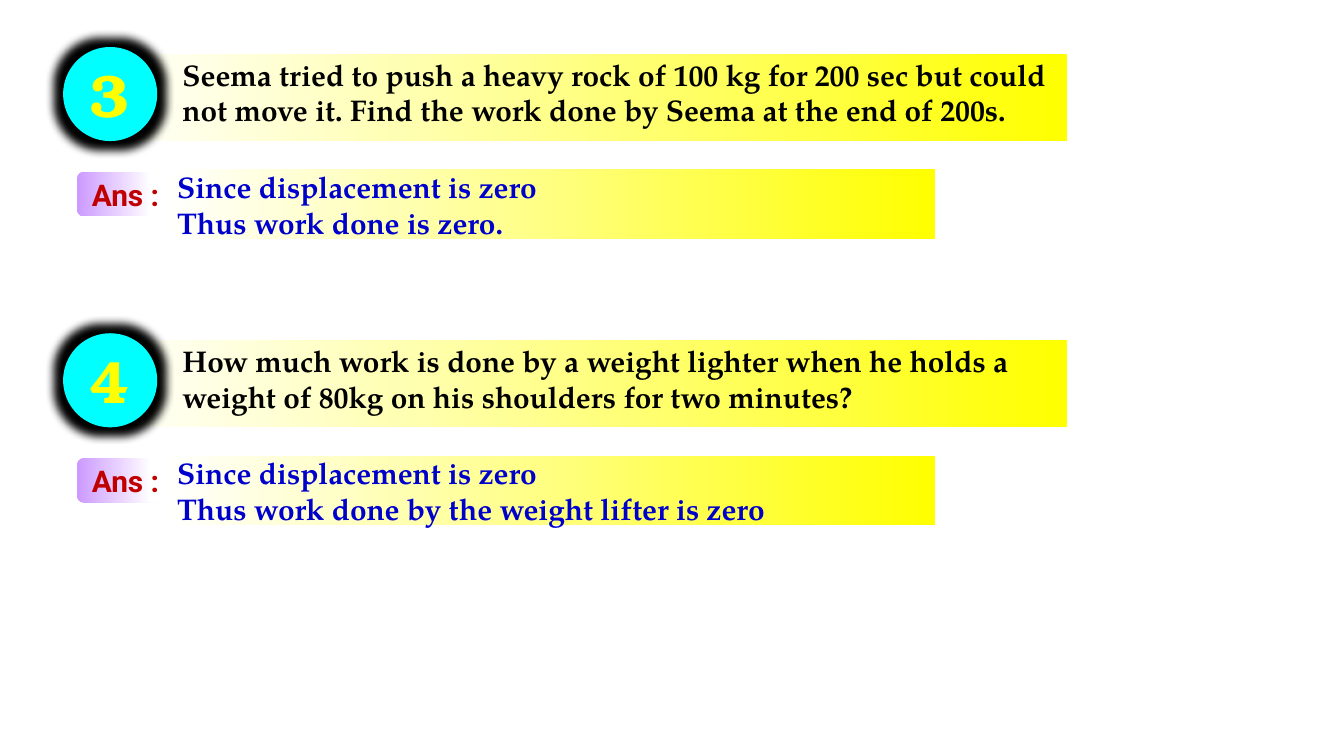
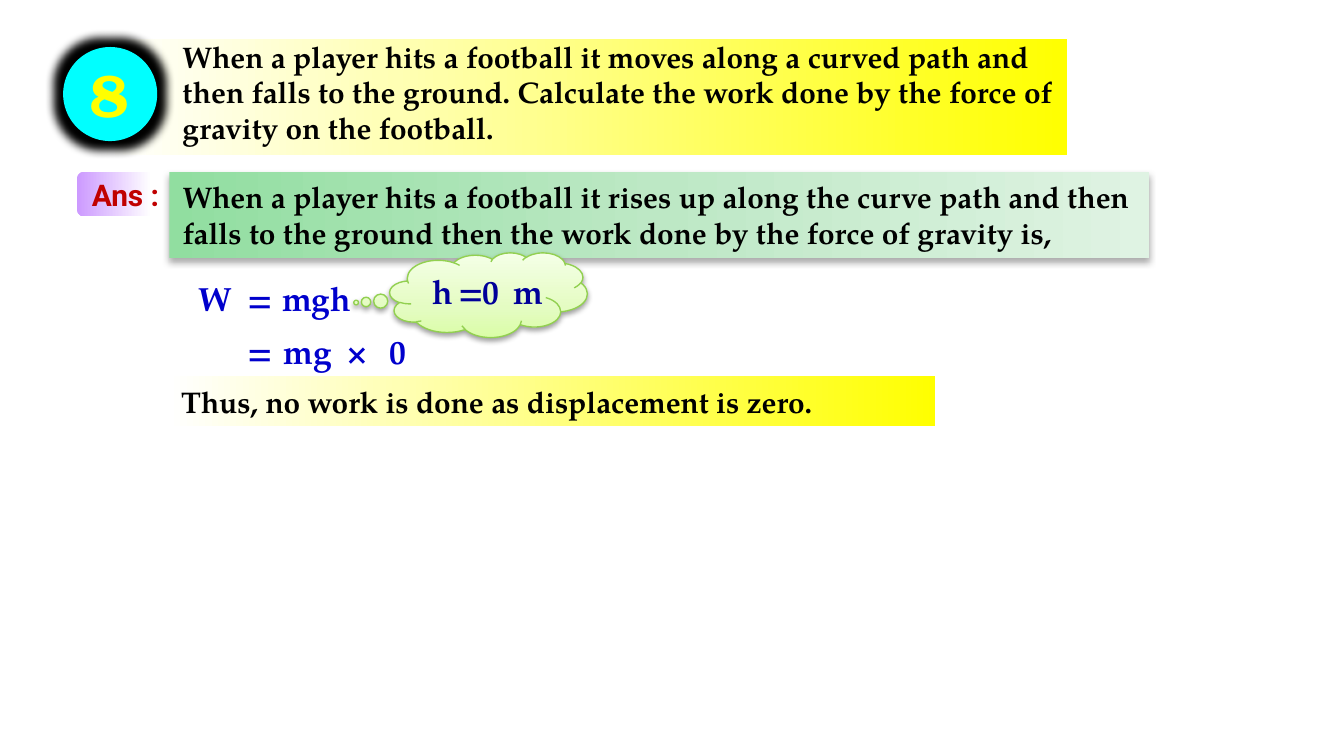
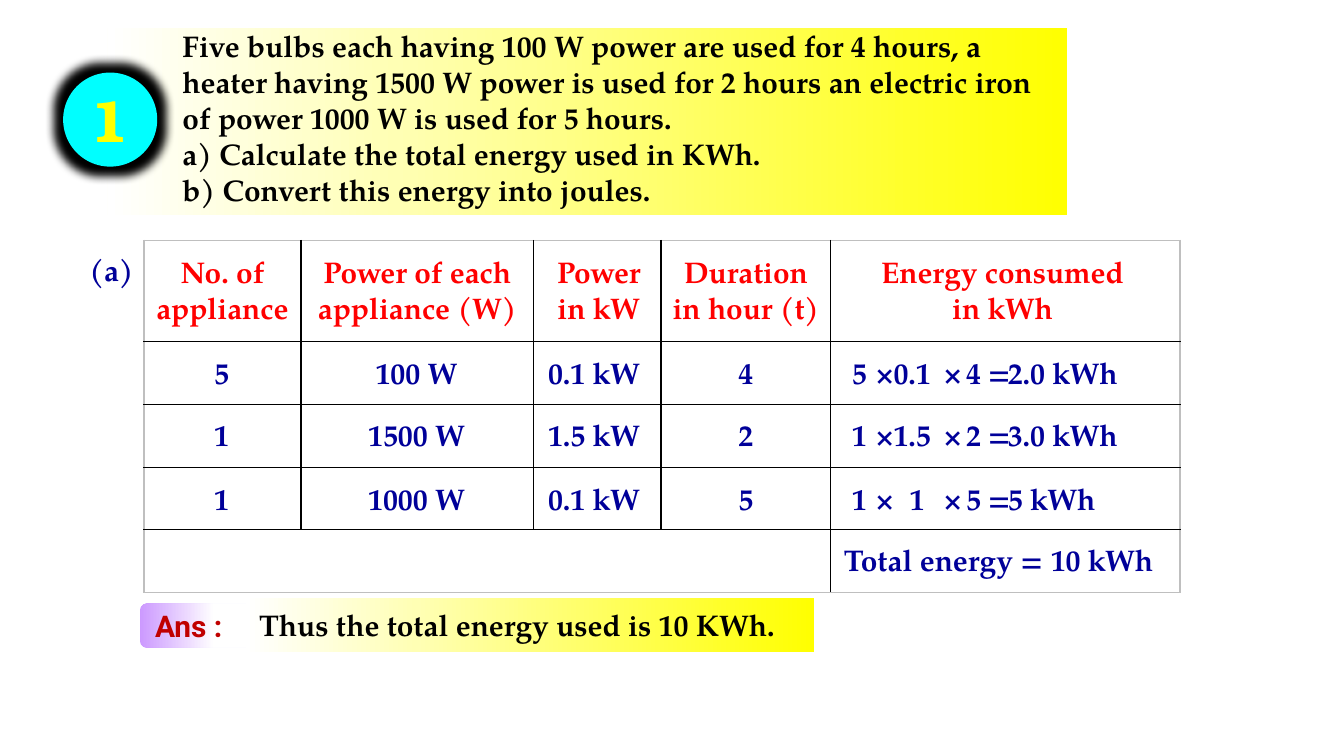
import pptx
import pptx.dml.color
import pptx.enum.shapes
import pptx.enum.text
import pptx.oxml.ns
import pptx.util
from lxml import etree

Inches = pptx.util.Inches
Pt = pptx.util.Pt
RGBColor = pptx.dml.color.RGBColor
SHAPES = pptx.enum.shapes.MSO_SHAPE
CENTER = pptx.enum.text.PP_ALIGN.CENTER
LEFT = pptx.enum.text.PP_ALIGN.LEFT
MIDDLE = pptx.enum.text.MSO_ANCHOR.MIDDLE
TOP = pptx.enum.text.MSO_ANCHOR.TOP
qn = pptx.oxml.ns.qn

BLACK = RGBColor(0x00, 0x00, 0x00)
WHITE = RGBColor(0xFF, 0xFF, 0xFF)
GREY = RGBColor(0xBF, 0xBF, 0xBF)
YELLOW = RGBColor(0xFF, 0xFF, 0x00)
PALE_YELLOW = RGBColor(0xFF, 0xFF, 0xB4)
CYAN = RGBColor(0x00, 0xFF, 0xFF)
LILAC = RGBColor(0xCC, 0x99, 0xFF)
DARK_RED = RGBColor(0xC0, 0x00, 0x00)
RED = RGBColor(0xFF, 0x00, 0x00)
BLUE = RGBColor(0x00, 0x00, 0xCC)
NAVY = RGBColor(0x00, 0x00, 0x99)
LIME = RGBColor(0x92, 0xD0, 0x50)

YELLOW_FADE = [(0, YELLOW), (70, PALE_YELLOW), (100, WHITE)]
LILAC_FADE = [(0, LILAC), (55, WHITE)]
GREEN_FADE = [(0, RGBColor(0x91, 0xDE, 0xA0)), (50, RGBColor(0xBD, 0xE8, 0xC5)),
              (100, RGBColor(0xDF, 0xF3, 0xE3))]
LIME_FADE = [(0, RGBColor(0xDA, 0xFD, 0xA7)), (35, RGBColor(0xE4, 0xFC, 0xC2)),
             (100, RGBColor(0xF5, 0xFF, 0xE7))]

BODY_FONT = "TeX Gyre Pagella"
NUMBER_FONT = "TeX Gyre Bonum"
LABEL_FONT = "Roboto"


def add_xml(parent, tag, **attributes):
    values = {name: str(value) for name, value in attributes.items()}
    return etree.SubElement(parent, qn(tag), values)


def add_color(parent, color, alpha=100):
    element = add_xml(parent, "a:srgbClr", val=color)
    if alpha < 100:
        add_xml(element, "a:alpha", val=alpha * 1000)


def write(shape, text, size=16, color=BLACK, font=BODY_FONT, align=LEFT,
          anchor=TOP, wrap=True, grow=False):
    frame = shape.text_frame
    frame.word_wrap = wrap
    frame.vertical_anchor = anchor
    if grow:
        frame.auto_size = pptx.enum.text.MSO_AUTO_SIZE.SHAPE_TO_FIT_TEXT
    for index, line in enumerate(text.split("\n")):
        paragraph = frame.add_paragraph() if index else frame.paragraphs[0]
        paragraph.alignment = align
        run = paragraph.add_run()
        run.text = line
        run.font.name = font
        run.font.size = Pt(size)
        run.font.bold = True
        run.font.color.rgb = color
    return shape


class Deck:
    def __init__(self):
        self.presentation = pptx.Presentation()
        self.presentation.slide_width = Inches(10)
        self.presentation.slide_height = Inches(10) * 9 // 16
        self.slide = None

    def new_slide(self):
        self.slide = self.presentation.slides.add_slide(self.presentation.slide_layouts[6])

    def shape(self, kind, left, top, width, height, fill, angle=0, line=None):
        shape = self.slide.shapes.add_shape(
            kind, Inches(left), Inches(top), Inches(width), Inches(height))
        if isinstance(fill, list):
            shape.fill.gradient()
            gradient = shape.element.spPr.find(qn("a:gradFill"))
            for child in list(gradient):
                gradient.remove(child)
            stops = add_xml(gradient, "a:gsLst")
            for position, color in fill:
                add_color(add_xml(stops, "a:gs", pos=position * 1000), color)
            add_xml(gradient, "a:lin", ang=angle * 60000, scaled=0)
        else:
            shape.fill.solid()
            shape.fill.fore_color.rgb = fill
        if line is None:
            shape.line.fill.background()
        else:
            shape.line.color.rgb = line
            shape.line.width = Pt(0.75)
        shape.shadow.inherit = False
        return shape

    def cast_shadow(self, shape, alpha, blur, distance):
        effects = shape.element.spPr.find(qn("a:effectLst"))
        shadow = add_xml(effects, "a:outerShdw", blurRad=Pt(blur), dist=Pt(distance),
                         dir=90 * 60000, rotWithShape=0)
        add_color(shadow, BLACK, alpha)

    def text(self, left, top, width, height, text, **style):
        box = self.slide.shapes.add_textbox(
            Inches(left), Inches(top), Inches(width), Inches(height))
        return write(box, text, **style)

    def yellow_band(self, left, top, width, height, text, color=BLACK):
        band = self.shape(SHAPES.RECTANGLE, left, top, width, height, YELLOW_FADE, 180)
        write(band, text, color=color, anchor=MIDDLE)

    def question(self, number, text, circle_top, band_top, band_height):
        band = self.shape(SHAPES.ROUNDED_RECTANGLE, 0.8, band_top, 7.14, band_height,
                          YELLOW_FADE, 180)
        band.adjustments[0] = 0
        self.text(1.26, circle_top - 0.14, 6.7, 0.95, text, anchor=MIDDLE)
        circle = self.shape(SHAPES.OVAL, 0.47, circle_top, 0.7, 0.7, CYAN)
        effects = circle.element.spPr.find(qn("a:effectLst"))
        add_color(add_xml(effects, "a:glow", rad=Pt(10)), BLACK)
        box = self.text(0.56, circle_top + 0.03, 0.5, 0.64, number, size=32, color=YELLOW,
                        font=NUMBER_FONT, align=CENTER, wrap=False, grow=True)
        properties = box.text_frame.paragraphs[0].runs[0].font._element
        outline = etree.Element(qn("a:ln"), w=str(Pt(1.5)))
        add_color(add_xml(outline, "a:solidFill"), BLACK)
        properties.insert(0, outline)

    def answer_label(self, left, top):
        label = self.shape(SHAPES.ROUNDED_RECTANGLE, left, top, 1.01, 0.33, LILAC_FADE)
        write(label, "Ans :", color=DARK_RED, font=LABEL_FONT, anchor=MIDDLE)

    def formula(self, top, color, terms):
        for left, width, term in terms:
            self.text(left, top, width, 0.4, term, size=18, color=color,
                      wrap=False, grow=True)

    def grid(self, left, top, widths, heights):
        frame = self.slide.shapes.add_table(
            len(heights), len(widths), Inches(left), Inches(top),
            Inches(sum(widths)), Inches(sum(heights)))
        table = frame.table
        for column, width in zip(table.columns, widths):
            column.width = Inches(width)
        last_row, last_column = len(heights) - 1, len(widths) - 1
        for row_index, (row, height) in enumerate(zip(table.rows, heights)):
            row.height = Inches(height)
            for column_index, cell in enumerate(row.cells):
                properties = cell._tc.get_or_add_tcPr()
                outer_sides = {"a:lnL": column_index == 0, "a:lnR": column_index == last_column,
                               "a:lnT": row_index == 0, "a:lnB": row_index == last_row}
                for side, is_outer in outer_sides.items():
                    border = add_xml(properties, side, w=Pt(1))
                    add_color(add_xml(border, "a:solidFill"), GREY if is_outer else BLACK)
                cell.fill.background()
        return table


def build_zero_work(deck):
    deck.new_slide()
    exercises = [
        ("3", "Seema tried to push a heavy rock of 100 kg for 200 sec but could not move it. "
              "Find the work done by Seema at the end of 200s.",
         "Thus work done is zero."),
        ("4", "How much work is done by a weight lighter when he holds a weight of 80kg "
              "on his shoulders for two minutes?",
         "Thus work done by the weight lifter is zero"),
    ]
    for index, (number, question, conclusion) in enumerate(exercises):
        top = 0.35 + 2.13 * index
        deck.question(number, question, top, top + 0.05, 0.65)
        deck.answer_label(0.57, top + 0.93)
        deck.yellow_band(1.22, top + 0.91, 5.74, 0.52,
                         "Since displacement is zero\n" + conclusion, BLUE)


def build_football(deck):
    deck.new_slide()
    deck.question("8", "When a player hits a football it moves along a curved path and then "
                       "falls to the ground. Calculate the work done by the force of gravity "
                       "on the football.", 0.35, 0.29, 0.86)
    deck.answer_label(0.57, 1.28)
    explanation = deck.shape(SHAPES.RECTANGLE, 1.26, 1.28, 7.29, 0.64, GREEN_FADE)
    deck.cast_shadow(explanation, 32, 3.5, 2.2)
    write(explanation, "When a player hits a football it rises up along the curve path and then "
                       "falls to the ground then the work done by the force of gravity is,",
          grow=True)
    deck.formula(2.02, BLUE, [(1.38, 0.45, "W"), (1.74, 0.35, "="), (2, 0.72, "mgh")])
    cloud = deck.shape(SHAPES.CLOUD_CALLOUT, 2.9, 1.88, 1.47, 0.63, LIME_FADE, 270, LIME)
    cloud.adjustments[0] = -0.67
    cloud.adjustments[1] = 0.09
    deck.cast_shadow(cloud, 38, 3.1, 1.6)
    deck.formula(1.97, NAVY, [(3.12, 0.36, "h"), (3.31, 0.35, "="),
                              (3.49, 0.33, "0"), (3.72, 0.43, "m")])
    deck.formula(2.41, BLUE, [(1.74, 0.35, "="), (2.01, 0.57, "mg"),
                              (2.48, 0.35, "×"), (2.8, 0.33, "0")])
    deck.yellow_band(1.25, 2.8, 5.71, 0.37, "Thus, no work is done as displacement is zero.")


def build_energy_bill(deck):
    deck.new_slide()
    deck.question("1", "Five bulbs each having 100 W power are used for 4 hours, a heater having "
                       "1500 W power is used for 2 hours an electric iron of power 1000 W is used "
                       "for 5 hours.\na) Calculate the total energy used in KWh.\n"
                       "b) Convert this energy into joules.", 0.54, 0.21, 1.39)
    table = deck.grid(1.07, 1.79, [1.17, 1.73, 0.95, 1.26, 2.6],
                      [0.75, 0.47, 0.47, 0.46, 0.47])
    table.cell(4, 0).merge(table.cell(4, 3))

    headings = [(1.05, 1.21, "No. of appliance"), (2.24, 1.73, "Power of each appliance (W)"),
                (4.01, 0.89, "Power in kW"), (4.9, 1.3, "Duration in hour (t)"),
                (6.38, 2.16, "Energy consumed in kWh")]
    for left, width, heading in headings:
        deck.text(left, 1.84, width, 0.64, heading, color=RED, align=CENTER, grow=True)

    appliances = [
        (2.59, "5", "100 W", "0.1 kW", "4", (6.55, 0.49, "0.1"), "2.0 kWh"),
        (3.05, "1", "1500 W", "1.5 kW", "2", (6.55, 0.49, "1.5"), "3.0 kWh"),
        (3.53, "1", "1000 W", "0.1 kW", "5", (6.67, 0.25, "1"), "5 kWh"),
    ]
    for top, count, watts, kilowatts, hours, factor, energy in appliances:
        centred = [(1.38, 0.54, count), (2.5, 1.2, watts), (5.28, 0.54, hours),
                   (6.24, 0.23, count), (6.44, 0.17, "×"), (6.92, 0.23, "×"),
                   (7.09, 0.21, hours), (7.28, 0.17, "=")]
        aligned_left = [(3.98, 0.93, kilowatts), factor, (7.4, 1.08, energy)]
        for align, entries in ((CENTER, centred), (LEFT, aligned_left)):
            for left, width, entry in entries:
                deck.text(left, top, width, 0.37, entry, color=NAVY, align=align, grow=True)

    deck.text(6.18, 3.98, 2.04, 0.37, "Total energy =", color=NAVY, grow=True)
    deck.text(7.72, 3.98, 1.07, 0.37, "10 kWh", color=NAVY, grow=True)
    deck.answer_label(1.04, 4.49)
    deck.yellow_band(1.83, 4.45, 4.23, 0.4, "Thus the total energy used is 10 KWh.")
    deck.text(0.56, 1.82, 0.54, 0.37, "(a)", color=NAVY, align=CENTER, grow=True)


def main():
    deck = Deck()
    build_zero_work(deck)
    build_football(deck)
    build_energy_bill(deck)
    deck.presentation.save("out.pptx")


if __name__ == "__main__":
    main()
